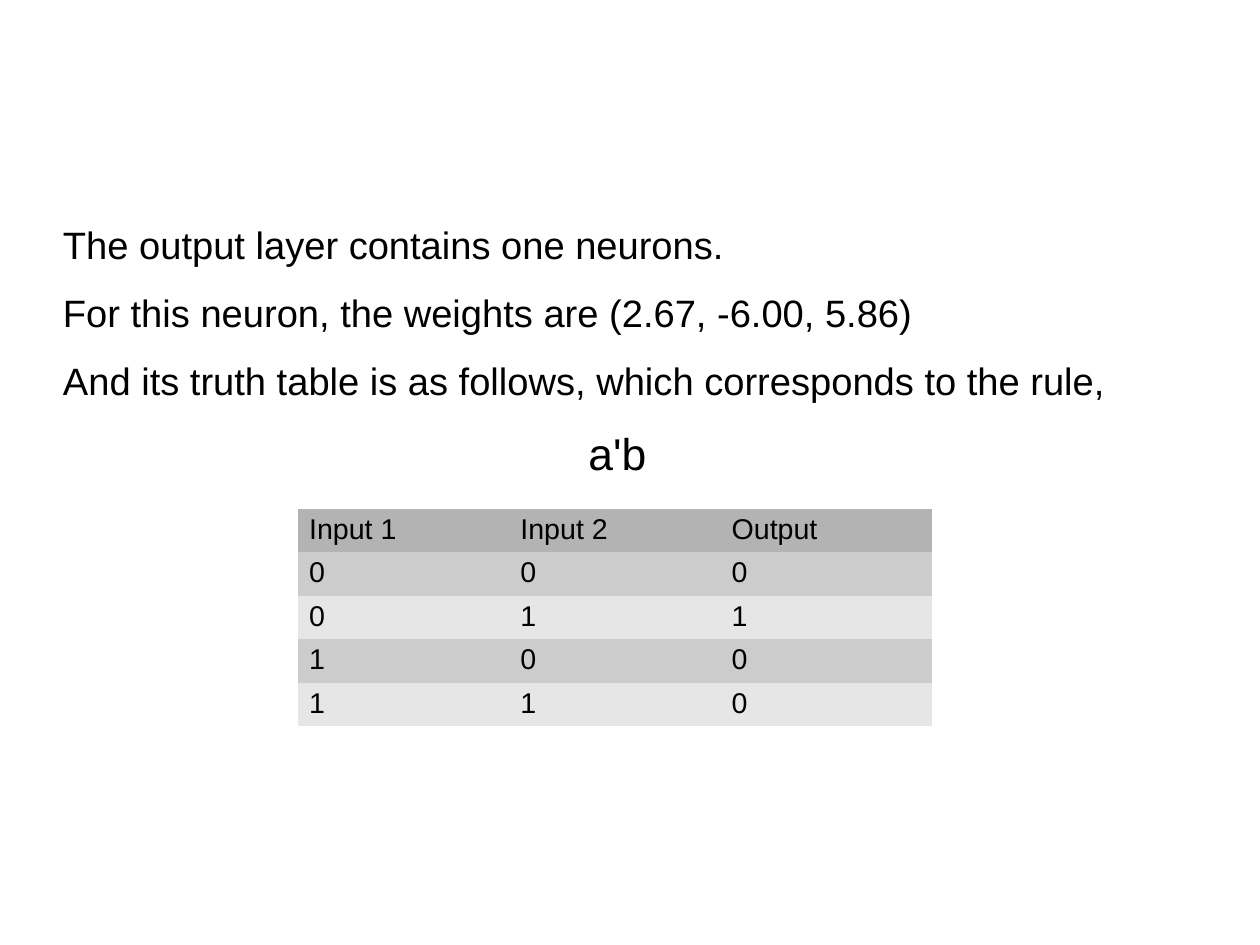
from pptx import Presentation
from pptx.dml.color import RGBColor
from pptx.enum.text import PP_ALIGN as Align
from pptx.util import Pt

BLACK = RGBColor(0x00, 0x00, 0x00)
HEADER_GRAY = RGBColor(0xB3, 0xB3, 0xB3)
ODD_GRAY = RGBColor(0xCC, 0xCC, 0xCC)
EVEN_GRAY = RGBColor(0xE6, 0xE6, 0xE6)
NO_STYLE_NO_GRID = "{2D5ABB26-0587-4C30-8999-92F81FD0307C}"


def write(para, text, size):
    span = para.add_run()
    span.text = text
    values = {"name": "Arial", "size": Pt(size)}
    for name, value in values.items():
        setattr(span.font, name, value)
    span.font.color.rgb = BLACK


def apply_format(target, values):
    for name, value in values.items():
        setattr(target, name, value)


deck = Presentation()
deck.slide_width, deck.slide_height = Pt(793.75), Pt(595.25)
page = deck.slides.add_slide(deck.slide_layouts[6])

box = page.shapes.add_textbox(Pt(39.7), Pt(139.2), Pt(698.4), Pt(344.9))
frame = box.text_frame
apply_format(frame, {
    "word_wrap": True,
    "margin_left": 0,
    "margin_top": 0,
    "margin_right": 0,
    "margin_bottom": 0,
})

statements = [
    ("The output layer contains one neurons.", 24, Align.LEFT),
    ("For this neuron, the weights are (2.67, -6.00, 5.86)", 24, Align.LEFT),
    ("And its truth table is as follows, which corresponds to the rule,", 24, Align.LEFT),
    ("a'b", 28, Align.CENTER),
]
for index, (text, size, alignment) in enumerate(statements):
    para = frame.add_paragraph() if index else frame.paragraphs[0]
    apply_format(para, {"alignment": alignment, "space_after": Pt(14.2)})
    write(para, text, size)

truth_rows = [
    ("Input 1", "Input 2", "Output"),
    ("0", "0", "0"),
    ("0", "1", "1"),
    ("1", "0", "0"),
    ("1", "1", "0"),
]
row_height, column_width = 27.36, 133.1
table = page.shapes.add_table(
    len(truth_rows), 3, Pt(187.8), Pt(320.6),
    Pt(3 * column_width), Pt(len(truth_rows) * row_height),
).table
table.first_row = table.horz_banding = False
table._tbl.tblPr[0].text = NO_STYLE_NO_GRID

for row, values in enumerate(truth_rows):
    fill_color = (ODD_GRAY if row % 2 else EVEN_GRAY) if row else HEADER_GRAY
    for column, text in enumerate(values):
        cell = table.cell(row, column)
        apply_format(cell, {
            "margin_left": Pt(7),
            "margin_top": Pt(2.8),
            "margin_bottom": Pt(2.8),
        })
        cell.fill.solid()
        cell.fill.fore_color.rgb = fill_color
        write(cell.text_frame.paragraphs[0], text, 18)

deck.save("out.pptx")
